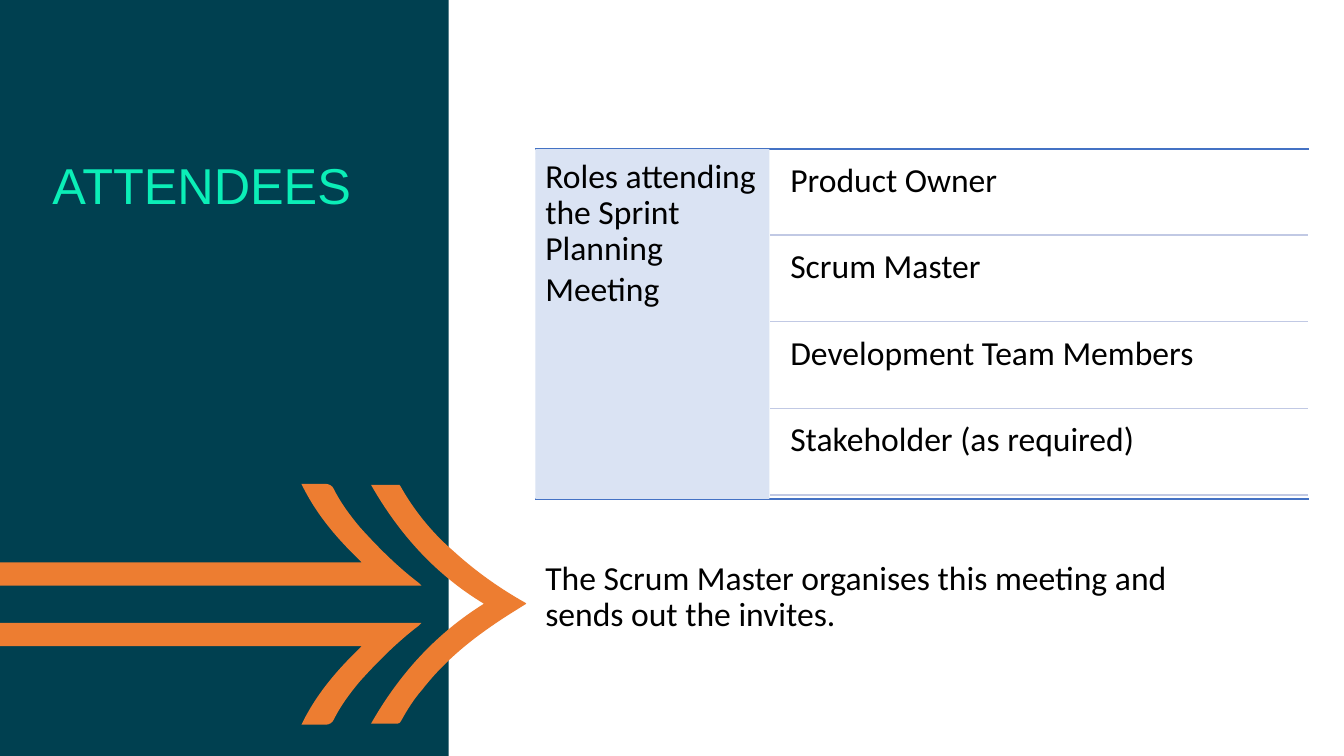
import dataclasses

import lxml.etree
import pptx
import pptx.dml.color
import pptx.enum.shapes
import pptx.enum.text
import pptx.oxml.ns
import pptx.util

Inches = pptx.util.Inches
qn = pptx.oxml.ns.qn


@dataclasses.dataclass
class Theme:
    panel: str = "004050"
    arrow: str = "ED7D31"
    title: str = "0BEEB7"
    rule: str = "4472C4"
    row_rule: str = "C1C9E4"
    role_fill: str = "DAE3F3"
    text: str = "000000"
    title_font: str = "Arial"
    body_font: str = "Calibri"
    title_size: int = 36
    body_size: int = 24
    spacer_size: int = 28
    rule_width: int = 1


theme = Theme()
rgb = pptx.dml.color.RGBColor.from_string


def write_text(shape, text, font=theme.body_font, size=theme.body_size,
               color=theme.text, before=0, line_spacing=0.9, top_inset=0.1):
    frame = shape.text_frame
    frame.word_wrap = True
    frame.auto_size = pptx.enum.text.MSO_AUTO_SIZE.NONE
    frame.vertical_anchor = pptx.enum.text.MSO_ANCHOR.TOP
    frame.margin_left = frame.margin_right = Inches(0.1)
    frame.margin_top = frame.margin_bottom = Inches(top_inset)
    paragraph = frame.paragraphs[0]
    paragraph.text = text
    paragraph.alignment = pptx.enum.text.PP_ALIGN.LEFT
    paragraph.line_spacing = line_spacing
    paragraph.space_before = pptx.util.Pt(before)
    for run in paragraph.runs:
        run.font.name = font
        run.font.size = pptx.util.Pt(size)
        run.font.color.rgb = rgb(color)
    return paragraph


def paint(shape, color):
    shape.fill.solid()
    shape.fill.fore_color.rgb = rgb(color)
    shape.line.fill.background()
    shape.shadow.inherit = False


presentation = pptx.Presentation()
presentation.slide_width = Inches(13.33)
presentation.slide_height = Inches(7.5)
slide = presentation.slides.add_slide(presentation.slide_layouts[5])
shapes = slide.shapes

rectangle = pptx.enum.shapes.MSO_SHAPE.RECTANGLE
panel = shapes.add_shape(rectangle, 0, 0, Inches(4.45), Inches(7.5))
paint(panel, theme.panel)

upper_tail = [
    (4.18, 5.81), (-0.62, 5.81), (-0.62, 5.58), (3.59, 5.58),
    (3.35, 5.35, 3.14, 5.11, 2.99, 4.8), (3.23, 4.8),
    (3.26, 4.8, 3.3, 4.82, 3.31, 4.85),
    (3.38, 4.99, 3.47, 5.11, 3.57, 5.23),
    (3.75, 5.43, 3.94, 5.62, 4.15, 5.78),
]
head = [
    (4.8, 5.99), (4.32, 5.7, 3.96, 5.3, 3.68, 4.81), (3.94, 4.81),
    (3.96, 4.81, 3.97, 4.81, 3.97, 4.82),
    (4.11, 5.07, 4.29, 5.29, 4.5, 5.47),
    (4.72, 5.67, 4.96, 5.84, 5.21, 5.98), (5.22, 5.99), (5.06, 6.09),
    (4.73, 6.3, 4.43, 6.53, 4.19, 6.84),
    (4.11, 6.93, 4.04, 7.04, 3.98, 7.15),
    (3.97, 7.17, 3.96, 7.18, 3.94, 7.18), (3.68, 7.18),
    (3.96, 6.69, 4.32, 6.29, 4.8, 5.99),
]
lower_tail = [tuple(11.99 - value if index % 2 else value
                    for index, value in enumerate(segment)) for segment in upper_tail]

for outline in (upper_tail, head, lower_tail):
    points = [(segment[index] * 100, segment[index + 1] * 100)
              for segment in outline for index in range(0, len(segment), 2)]
    builder = shapes.build_freeform(*points[0], scale=Inches(0.01))
    builder.add_line_segments(points[1:], close=True)
    arrow_part = builder.convert_to_shape()
    paint(arrow_part, theme.arrow)
    nodes = iter(list(arrow_part.element.iter(qn("a:lnTo"))))
    for segment in outline[1:]:
        group = [next(nodes) for _ in range(len(segment) // 2)]
        if len(group) == 3:
            curve = lxml.etree.Element(qn("a:cubicBezTo"))
            group[0].addprevious(curve)
            for node in group:
                curve.append(node[0])
                node.getparent().remove(node)

title = shapes.title
title.left, title.top = Inches(0.42), Inches(1.48)
title.width, title.height = Inches(3.77), Inches(3.01)
write_text(title, "ATTENDEES", font=theme.title_font, size=theme.title_size,
           color=theme.title, before=10, line_spacing=1.0, top_inset=0.05)
shapes.element.append(title.element)

table_left, table_right, table_top, table_bottom = 5.31, 12.98, 1.48, 4.95
role_width = 2.32
attendees = ["Product Owner", "Scrum Master", "Development Team Members",
             "Stakeholder (as required)"]
row_pitch = (4.91 - 2.33) / (len(attendees) - 1)
text_pitch = (4.09 - 1.52) / (len(attendees) - 1)

rules = [(table_left, y, table_right, theme.rule) for y in (table_top, table_bottom)]
rules += [(7.64, 2.33 + row * row_pitch, 12.97, theme.row_rule)
          for row in range(len(attendees))]
for left, y, right, color in rules:
    rule = shapes.add_connector(pptx.enum.shapes.MSO_CONNECTOR.STRAIGHT,
                                Inches(left), Inches(y), Inches(right), Inches(y))
    rule.line.color.rgb = rgb(color)
    rule.line.width = pptx.util.Pt(theme.rule_width)
    lxml.etree.SubElement(rule.element.spPr, qn("a:effectLst"))

role_cell = shapes.add_shape(rectangle, Inches(table_left), Inches(table_top),
                             Inches(role_width), Inches(table_bottom - table_top))
paint(role_cell, theme.role_fill)
role_paragraph = write_text(role_cell, "Roles attending the Sprint Planning Meeting")
spacer = role_paragraph.add_run()
spacer.text = " "
spacer.font.name = theme.body_font
spacer.font.size = pptx.util.Pt(theme.spacer_size)

for row, attendee in enumerate(attendees):
    box = shapes.add_textbox(Inches(7.74), Inches(1.52 + row * text_pitch),
                             Inches(5.24), Inches(0.82))
    write_text(box, attendee)

note = shapes.add_textbox(Inches(table_left), Inches(5.47),
                          Inches(table_right - table_left), Inches(1.6))
write_text(note, "The Scrum Master organises this meeting and \vsends out the invites.")

presentation.save("out.pptx")
